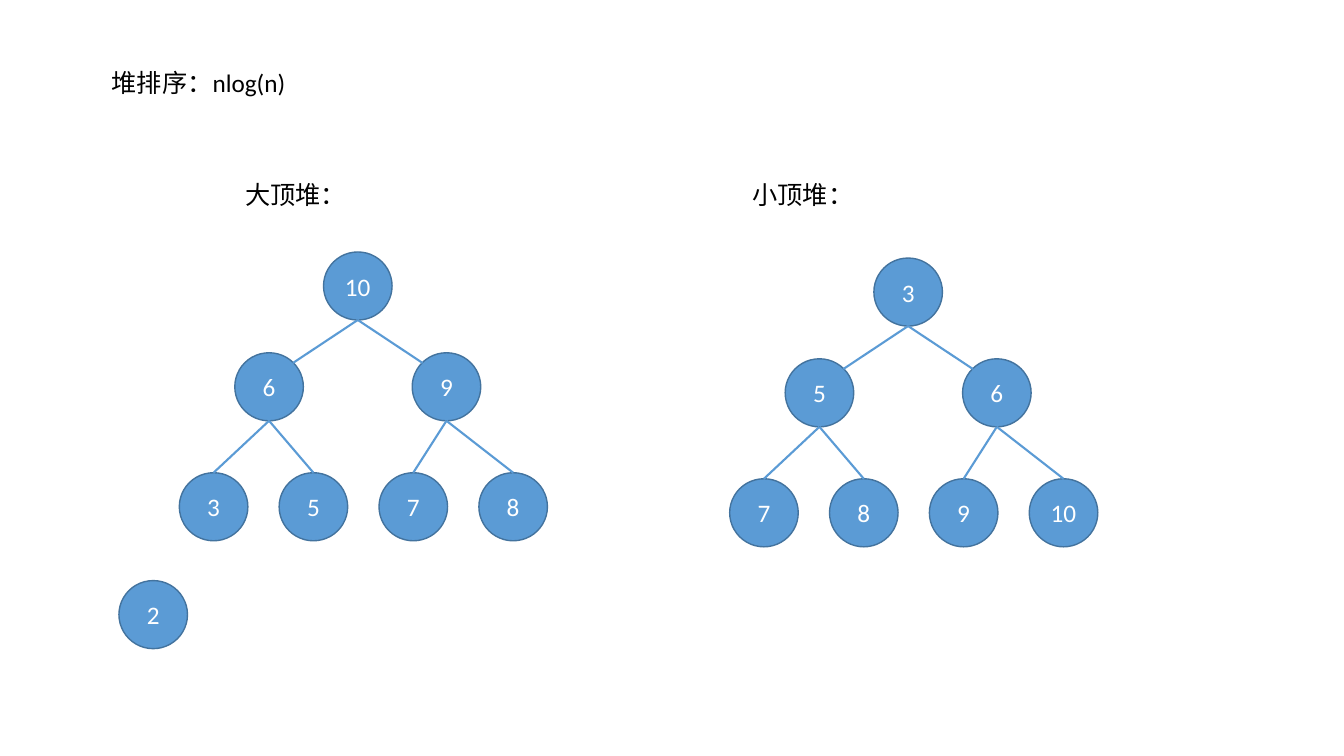
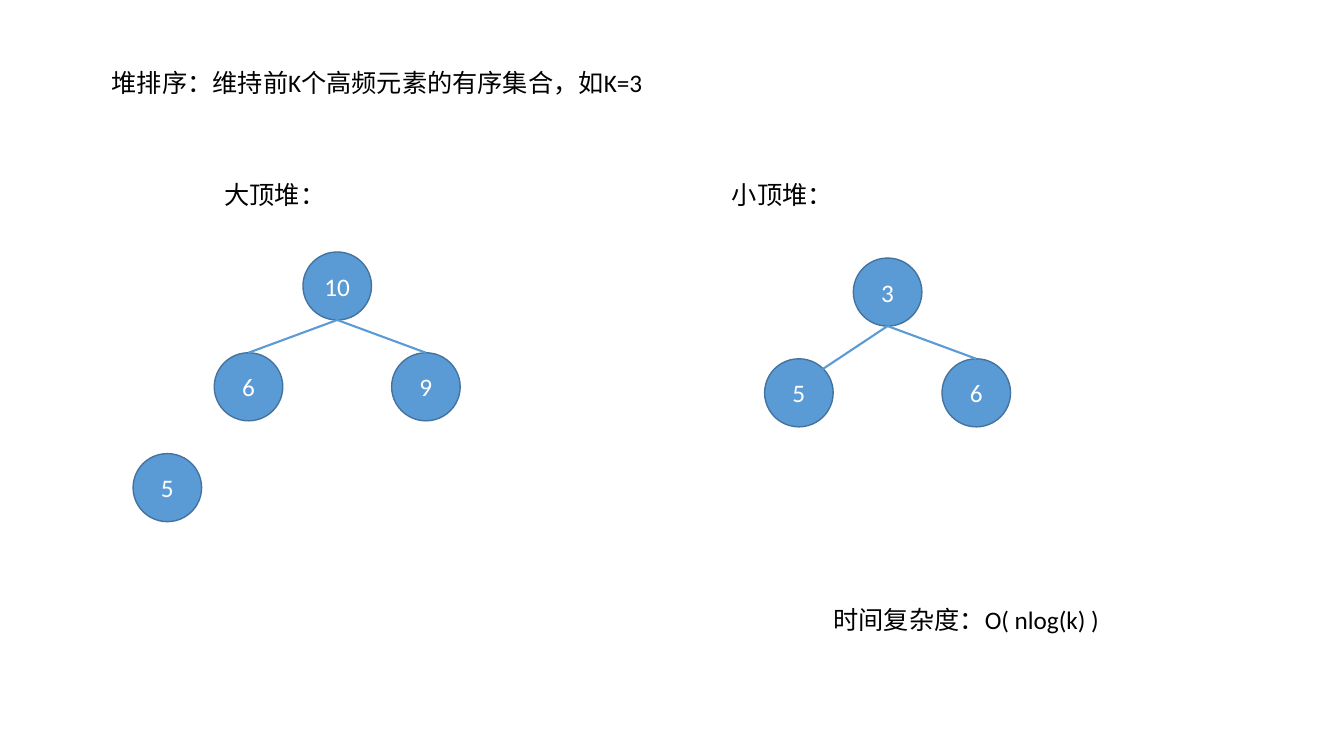
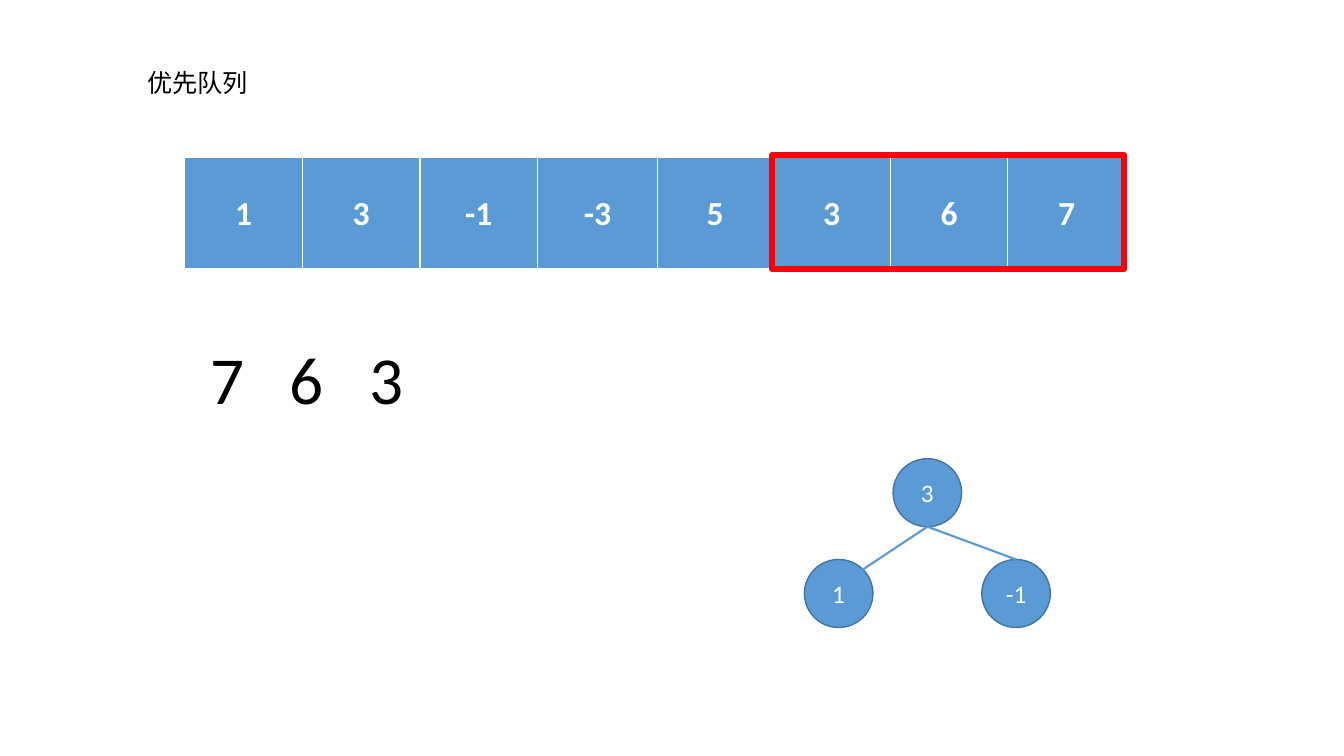
from dataclasses import dataclass

from lxml import etree
from pptx import Presentation
from pptx import util as u
from pptx.dml.color import RGBColor
from pptx.enum import lang, shapes, text
from pptx.oxml import ns


@dataclass(frozen=True)
class Theme:
    font: str = "Calibri"
    ink: str = "000000"
    white: str = "FFFFFF"
    blue: str = "5B9BD5"
    edge: str = "43739E"
    red: str = "FF0000"
    body: int = 18
    cell: int = 24
    huge: int = 48


# Distances on a grid of 100 columns by 100 rows
BALL_W, BALL_H = 5.1, 9
KID_X, KID_Y = 6.6, 13.33
LEAF_X, LEAF_STEP, LEAF_Y = -10.73, 7.43, 29.2
CORNER_X, CORNER_Y = BALL_W * 0.35, BALL_H * 0.15


class Deck:
    def __init__(self, theme):
        self.theme = theme
        self.show = Presentation()
        self.show.slide_width = u.Inches(13.33)
        self.show.slide_height = u.Inches(7.5)

    def x(self, cols):
        return round(self.show.slide_width * cols / 100)

    def y(self, rows):
        return round(self.show.slide_height * rows / 100)

    def area(self, left, top, wide, high):
        return self.x(left), self.y(top), self.x(wide), self.y(high)

    def page(self):
        blank = self.show.slide_layouts[6]
        self.items = self.show.slides.add_slide(blank).shapes

    # Text and line styles
    def letter(self, frame, words, size, color, align, bold=False):
        para = frame.paragraphs[0]
        para.alignment = align
        run = para.add_run()
        run.text = words
        looks = {"name": self.theme.font, "size": u.Pt(size), "bold": bold,
                 "language_id": lang.MSO_LANGUAGE_ID.SIMPLIFIED_CHINESE}
        for key, value in looks.items():
            setattr(run.font, key, value)
        run.font.color.rgb = RGBColor.from_string(color)

    def stroke(self, line, color, width):
        line.color.rgb = RGBColor.from_string(color)
        line.width = u.Pt(width)

    # Single elements
    def label(self, words, left, top, wide, high=5.33, size=None, inset=0.1, tabs=()):
        box = self.items.add_textbox(*self.area(left, top, wide, high))
        looks = {"word_wrap": True, "margin_left": u.Inches(inset),
                 "auto_size": text.MSO_AUTO_SIZE.SHAPE_TO_FIT_TEXT}
        for key, value in looks.items():
            setattr(box.text_frame, key, value)
        self.letter(box.text_frame, words, size or self.theme.body,
                    self.theme.ink, text.PP_ALIGN.LEFT)
        if tabs:
            props = next(box.element.iter(ns.qn("a:pPr")))
            stops = etree.SubElement(props, ns.qn("a:tabLst"))
            for stop in tabs:
                etree.SubElement(stops, ns.qn("a:tab"),
                                 pos=str(u.Inches(stop)), algn="l")

    def ball(self, words, mid, top):
        ball = self.items.add_shape(
            shapes.MSO_SHAPE.OVAL, *self.area(mid - BALL_W / 2, top, BALL_W, BALL_H))
        ball.shadow.inherit = False
        ball.fill.solid()
        ball.fill.fore_color.rgb = RGBColor.from_string(self.theme.blue)
        self.stroke(ball.line, self.theme.edge, 1)
        ball.text_frame.vertical_anchor = text.MSO_ANCHOR.MIDDLE
        self.letter(ball.text_frame, words, self.theme.body,
                    self.theme.white, text.PP_ALIGN.CENTER)

    def link(self, left, top, right, low):
        line = self.items.add_connector(
            shapes.MSO_CONNECTOR.STRAIGHT,
            self.x(left), self.y(top), self.x(right), self.y(low))
        self.stroke(line.line, self.theme.blue, 1.5)
        etree.SubElement(line.element.spPr, ns.qn("a:effectLst"))

    def frame(self, left, top, wide, high):
        box = self.items.add_shape(
            shapes.MSO_SHAPE.RECTANGLE, *self.area(left, top, wide, high))
        box.shadow.inherit = False
        box.fill.background()
        self.stroke(box.line, self.theme.red, 4.5)

    # Heap: root, two children and, if given, four leaves
    def heap(self, words, mid, top, corners=(True, True)):
        root, *rest = words
        kids, leaves = rest[:2], rest[2:]
        kid_mids = [mid - KID_X, mid + KID_X]
        leaf_mids = [mid + LEAF_X + LEAF_STEP * i for i in range(len(leaves))]
        self.ball(root, mid, top)
        for word, spot in zip(kids, kid_mids):
            self.ball(word, spot, top + KID_Y)
        for word, spot in zip(leaves, leaf_mids):
            self.ball(word, spot, top + LEAF_Y)
        for spot, corner, side in zip(kid_mids, corners, (1, -1)):
            self.link(mid, top + BALL_H, spot + corner * side * CORNER_X,
                      top + KID_Y + corner * CORNER_Y)
        for i, spot in enumerate(leaf_mids):
            self.link(kid_mids[i // 2], top + KID_Y + BALL_H, spot, top + LEAF_Y)

    # One-row table
    def row(self, words, left, top, widths, high):
        holder = self.items.add_table(
            1, len(words), *self.area(left, top, sum(widths), high))
        table = holder.table
        table.first_row = table.horz_banding = False
        table.rows[0].height = self.y(high)
        for i, (word, wide) in enumerate(zip(words, widths)):
            table.columns[i].width = self.x(wide)
            cell = table.cell(0, i)
            cell.vertical_anchor = text.MSO_ANCHOR.MIDDLE
            cell.fill.solid()
            cell.fill.fore_color.rgb = RGBColor.from_string(self.theme.blue)
            self.letter(cell.text_frame, word, self.theme.cell,
                        self.theme.white, text.PP_ALIGN.CENTER, bold=True)
        sides = {"lnL": 1, "lnR": 1, "lnT": 1, "lnB": 3}
        for props in holder.element.iter(ns.qn("a:tcPr")):
            for i, (side, width) in enumerate(sides.items()):
                line = etree.Element(ns.qn("a:" + side), w=str(u.Pt(width)))
                fill = etree.SubElement(line, ns.qn("a:solidFill"))
                etree.SubElement(fill, ns.qn("a:srgbClr"), val=self.theme.white)
                props.insert(i, line)


deck = Deck(Theme())
TITLE_X, TITLE_Y = 7.58, 8.27


def pair(large, small, shift=0, corners=(True, True)):
    """Place a max heap and a min heap side by side."""
    deck.label("大顶堆：", 17.5 + shift, 23.07, 10.2)
    deck.label("小顶堆：", 55.25 + shift, 23.07, 10.2)
    deck.heap(large, 26.62 + shift, 33.33, corners)
    deck.heap(small, 67.57 + shift, 34.13, (True, corners[1]))


# Slide 1: full heaps
deck.page()
deck.label("堆排序：nlog(n)", TITLE_X, TITLE_Y, 16.6, 9.47)
pair(["10", "6", "9", "3", "5", "7", "8"], ["3", "5", "6", "7", "8", "9", "10"])
deck.ball("2", 11.4, 76.8)

# Slide 2: heaps of three
deck.page()
deck.label("堆排序：维持前K个高频元素的有序集合，如K=3", TITLE_X, TITLE_Y, 46.13, 9.47)
pair(["10", "6", "9"], ["3", "5", "6"], -1.53, (False, False))
deck.ball("5", 12.45, 60)
deck.label("时间复杂度：O( nlog(k) )", 61.28, 79.33, 22.88)

# Slide 3: priority queue
deck.page()
deck.row(["1", "3", "-1", "-3", "5", "3", "6", "7"], 13.75, 20.8,
         [8.75] * 3 + [8.93, 8.57] + [8.75] * 3, 14.93)
deck.frame(57.45, 20.53, 26.2, 15.07)
deck.heap(["3", "1", "-1"], 69, 60.67, (True, False))
deck.label("7\t6\t3", 13.75, 44, 41.4, 12.13, deck.theme.huge,
           inset=0.25, tabs=(0.79, 1.58))
deck.label("优先队列", 10.2, TITLE_Y, 16.2)

deck.show.save("out.pptx")
